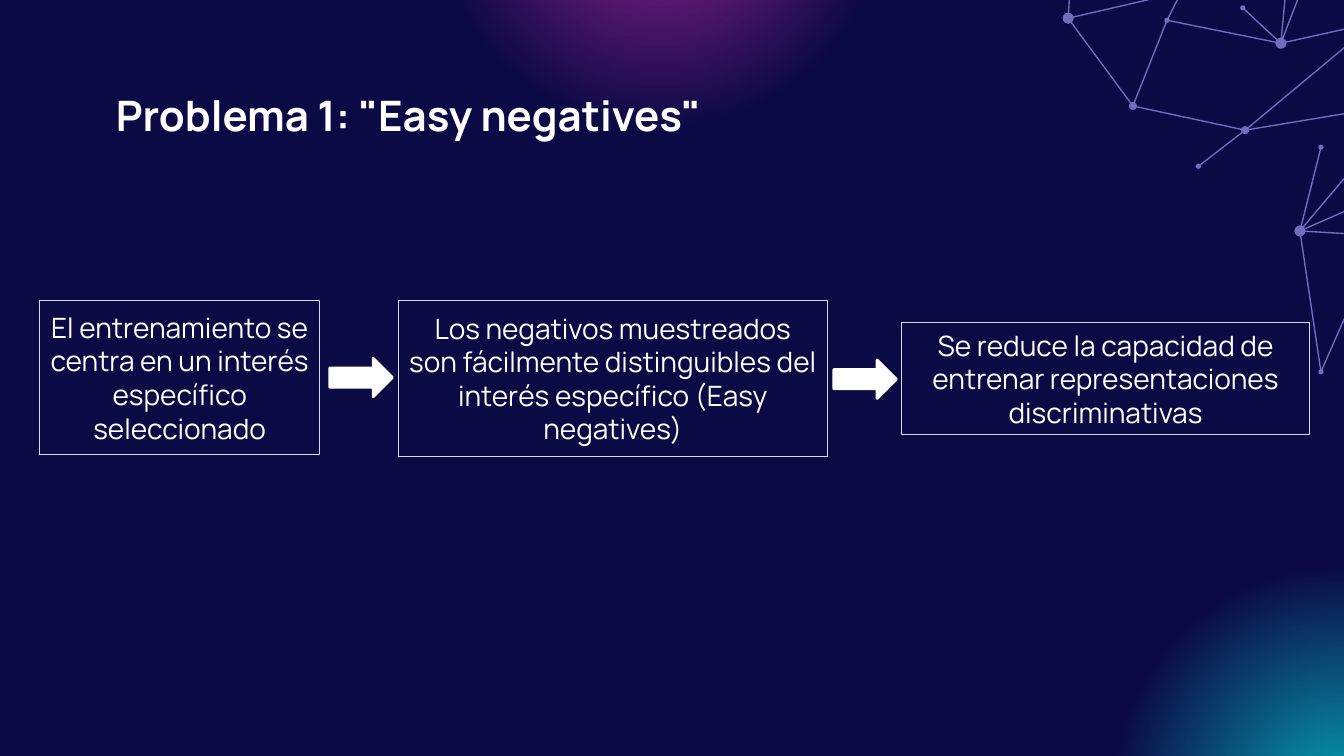
from dataclasses import dataclass

from lxml.etree import SubElement
from pptx import Presentation
from pptx.dml.color import RGBColor
from pptx.enum.shapes import MSO_CONNECTOR, MSO_SHAPE
from pptx.enum.text import MSO_ANCHOR, PP_ALIGN
from pptx.oxml import parse_xml
from pptx.oxml.ns import nsdecls, qn
from pptx.util import Cm, Pt

COLORS = {
    "night": "0C0A45",
    "pink": "942290",
    "teal": "07A0B3",
    "net": "716EBE",
    "edge": "DAD9FA",
    "white": "FFFFFF",
}
FONT = "Manrope"


@dataclass
class Glow:
    left: float
    top: float
    color: str


@dataclass
class Dot:
    x: float
    y: float
    size: float = 0


@dataclass
class Step:
    left: float
    top: float
    width: float
    height: float
    text: str


GLOW_SIZE = 16.2
GLOWS = [Glow(8.51, -10.64, "pink"), Glow(25.68, 11.91, "teal")]

# Net nodes: those with a size show as dots, the rest are bends
SMALL, MID, BIG = 0.13, 0.2, 0.28
DOTS = {
    "a": Dot(26.92, 0.46, BIG), "b": Dot(28.55, 2.67, MID),
    "c": Dot(29.41, 0.51, SMALL), "d": Dot(31.32, 0.2, SMALL),
    "e": Dot(32.28, 1.09, BIG), "f": Dot(31.38, 3.28, MID),
    "g": Dot(30.2, 4.19, SMALL), "h": Dot(32.76, 5.82, BIG),
    "i": Dot(33.29, 3.71, SMALL), "j": Dot(33.29, 9.37, SMALL),
    "k": Dot(29.77, -0.2), "l": Dot(27.05, -1.65),
    "m": Dot(31.6, -2.72), "n": Dot(28.91, -2.54),
    "o": Dot(26.44, -5.49), "p": Dot(29.29, -5.74),
    "q": Dot(34.54, 3.71), "r": Dot(36.53, 4.17),
    "s": Dot(35.66, 2.57), "t": Dot(34.8, 5.94),
    "u": Dot(34.44, 0.61), "v": Dot(34.62, -0.74),
    "w": Dot(33.63, -2.41), "x": Dot(32.66, -3),
    "y": Dot(36.58, 1.12), "z": Dot(36.98, 2.41),
    "A": Dot(35.81, -0.66), "B": Dot(25.35, -2.24),
    "C": Dot(25.68, -3.58), "D": Dot(34.49, 0.69),
}
# Each trail names the nodes it runs through
TRAILS = ["bc", "akmnk", "opnlkced", "fg", "qhrqsrthjt", "uvweuwxe",
          "yzsyAsfbalBCl", "hi", "Df"]

STEPS = [
    Step(1.0, 7.57, 7.06, 3.89,
         "El entrenamiento se centra en un interés específico seleccionado"),
    Step(10.04, 7.57, 10.81, 3.93,
         "Los negativos muestreados son fácilmente distinguibles del "
         "interés específico (Easy negatives)"),
    Step(22.73, 8.13, 10.27, 2.82,
         "Se reduce la capacidad de entrenar representaciones discriminativas"),
]
ARROWS = [(8.31, 9.03), (21.01, 9.07)]


def rgb(name: str) -> RGBColor:
    return RGBColor.from_string(COLORS[name])


def add_form(slide, kind, left: float, top: float, width: float,
             height: float, fill: str = "", line: str = "",
             weight: float = 0.75):
    form = slide.shapes.add_shape(
        kind, Cm(left), Cm(top), Cm(width), Cm(height))
    form.shadow.inherit = False
    if fill:
        form.fill.solid()
        form.fill.fore_color.rgb = rgb(fill)
    else:
        form.fill.background()
    if line:
        form.line.color.rgb = rgb(line)
        form.line.width = Pt(weight)
    else:
        form.line.fill.background()
    return form


def put_text(shape, text: str, size: float = 20, bold: bool = False,
             color: str = "white", align=PP_ALIGN.CENTER,
             anchor=MSO_ANCHOR.MIDDLE, pad: float = 0.13) -> None:
    frame = shape.text_frame
    frame.word_wrap = True
    frame.vertical_anchor = anchor
    frame.margin_left = frame.margin_right = Cm(0.25)
    frame.margin_top = frame.margin_bottom = Cm(pad)
    para = frame.paragraphs[0]
    para.alignment = align
    run = para.add_run()
    run.text = text
    run.font.name = FONT
    run.font.size = Pt(size)
    run.font.bold = bold
    run.font.color.rgb = rgb(color)


def add_glow(slide, glow: Glow) -> None:
    form = add_form(slide, MSO_SHAPE.OVAL, glow.left, glow.top,
                    GLOW_SIZE, GLOW_SIZE)
    stops = "".join(
        f'<a:gs pos="{pos}"><a:srgbClr val="{COLORS[glow.color]}">'
        f'<a:alpha val="{alpha}"/></a:srgbClr></a:gs>'
        for pos, alpha in [(0, 100000), (50000, 0), (100000, 0)])
    grad = parse_xml(
        f'<a:gradFill {nsdecls("a")} rotWithShape="1"><a:gsLst>{stops}</a:gsLst>'
        '<a:path path="circle"><a:fillToRect l="50000" t="50000" '
        'r="50000" b="50000"/></a:path></a:gradFill>')
    props = form._element.spPr
    props.replace(props.find(qn("a:noFill")), grad)


def add_trail(slide, trail: str) -> None:
    spots = [(Cm(DOTS[name].x), Cm(DOTS[name].y)) for name in trail]
    if len(spots) == 2:
        form = slide.shapes.add_connector(
            MSO_CONNECTOR.STRAIGHT, *spots[0], *spots[1])
        SubElement(form._element.spPr, qn("a:effectLst"))
    else:
        pen = slide.shapes.build_freeform(*spots[0])
        pen.add_line_segments(spots[1:], close=False)
        form = pen.convert_to_shape()
        form.shadow.inherit = False
        form.fill.background()
    form.line.color.rgb = rgb("net")
    form.line.width = Pt(0.95)


def add_net(slide) -> None:
    for trail in TRAILS:
        add_trail(slide, trail)
    for dot in DOTS.values():
        if dot.size:
            add_form(slide, MSO_SHAPE.OVAL, dot.x - dot.size / 2,
                     dot.y - dot.size / 2, dot.size, dot.size, fill="net")


def main() -> None:
    deck = Presentation()
    deck.slide_width, deck.slide_height = Cm(33.87), Cm(19.05)
    slide = deck.slides.add_slide(deck.slide_layouts[6])

    # Backdrop
    slide.background.fill.solid()
    slide.background.fill.fore_color.rgb = rgb("night")
    for glow in GLOWS:
        add_glow(slide, glow)
    add_net(slide)

    # Title
    title = slide.shapes.add_textbox(Cm(2.67), Cm(2.01), Cm(28.52), Cm(2.13))
    put_text(title, 'Problema 1: "Easy negatives"', size=30, bold=True,
             align=PP_ALIGN.LEFT, anchor=MSO_ANCHOR.TOP, pad=0.25)

    # Chain of steps
    for step in STEPS:
        box = add_form(slide, MSO_SHAPE.RECTANGLE, step.left, step.top,
                       step.width, step.height, line="edge")
        put_text(box, step.text)
    for left, top in ARROWS:
        add_form(slide, MSO_SHAPE.RIGHT_ARROW, left, top, 1.58, 0.97,
                 fill="white", line="white", weight=2)

    deck.save("out.pptx")


if __name__ == "__main__":
    main()
